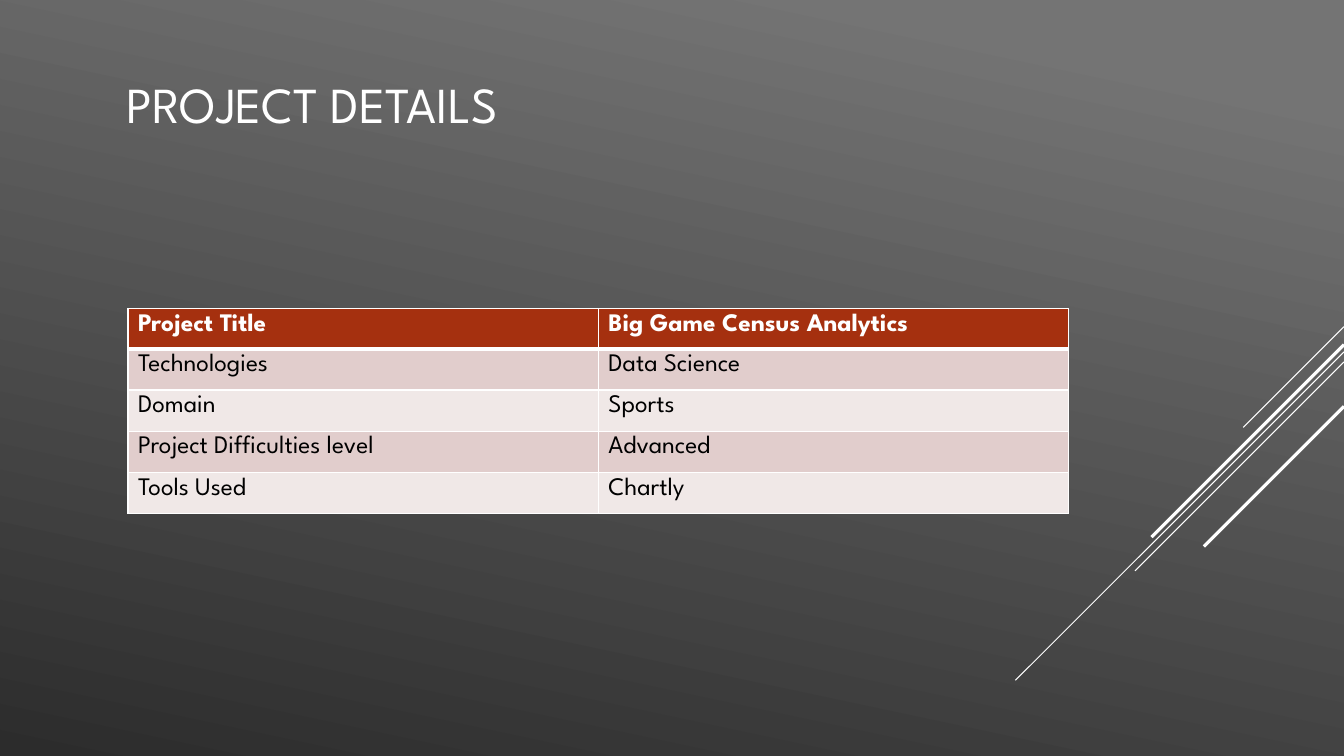
from lxml.etree import SubElement
from pptx import Presentation
from pptx.dml.color import RGBColor
from pptx.enum.shapes import MSO_CONNECTOR
from pptx.enum.text import MSO_ANCHOR
from pptx.oxml.ns import qn
from pptx.util import Inches, Pt

WHITE = RGBColor(0xFF, 0xFF, 0xFF)
BLACK = RGBColor(0x00, 0x00, 0x00)
GREY = RGBColor(0x74, 0x74, 0x74)
CHARCOAL = RGBColor(0x2C, 0x2C, 0x2C)
RUST = RGBColor(0xA5, 0x30, 0x0F)
ROSE = RGBColor(0xE1, 0xCD, 0xCC)
BLUSH = RGBColor(0xF0, 0xE8, 0xE7)

DETAILS = [
    ("Project Title", "Big Game Census Analytics"),
    ("Technologies", "Data Science"),
    ("Domain", "Sports"),
    ("Project Difficulties level", "Advanced"),
    ("Tools Used", "Chartly"),
]
STREAKS = [
    (10.37, 3, 0.75),
    (11.17, 9.78, 0.75),
    (11.49, 6.22, 0.75),
    (10.94, 5.73, 2.25),
    (12.9, 4.17, 2.25),
]


class SlideBuilder:
    font = "League Spartan"
    columns, rows = 40, 24

    def __init__(self, prs):
        self.slide = prs.slides.add_slide(prs.slide_layouts[6])
        self.col = prs.slide_width / self.columns
        self.row = prs.slide_height / self.rows

    def x(self, columns):
        return round(columns * self.col)

    def y(self, rows):
        return round(rows * self.row)

    def background(self, start, end, angle):
        fill = self.slide.background.fill
        fill.gradient()
        fill.gradient_angle = 360 - angle
        for stop, (position, color) in zip(fill.gradient_stops, (start, end)):
            stop.position = position
            stop.color.rgb = color

    def add_text(self, tf, text, size, color, bold=False):
        r = tf.paragraphs[0].add_run()
        r.text = text
        r.font.name = self.font
        r.font.size = Pt(size)
        r.font.bold = bold
        r.font.color.rgb = color

    def title(self, text, left, top, width, height):
        sp = self.slide.shapes.add_textbox(
            self.x(left), self.y(top), self.x(width), self.y(height))
        tf = sp.text_frame
        tf.word_wrap = True
        tf.vertical_anchor = MSO_ANCHOR.MIDDLE
        self.add_text(tf, text, 36, WHITE)

    def streak(self, top, length, weight):
        right, run = self.x(self.columns), self.x(length)
        line = self.slide.shapes.add_connector(
            MSO_CONNECTOR.STRAIGHT, right, self.y(top), right - run, self.y(top) + run)
        line.line.color.rgb = WHITE
        line.line.width = Pt(weight)
        SubElement(line._element.spPr, qn("a:effectLst"))

    def borders(self, cell, top, bottom):
        tc_pr = cell._tc.get_or_add_tcPr()
        for side, weight in (("L", 1), ("R", 1), ("T", top), ("B", bottom)):
            ln = SubElement(tc_pr, qn(f"a:ln{side}"), w=str(Pt(weight)))
            SubElement(SubElement(ln, qn("a:solidFill")), qn("a:srgbClr"), val=str(WHITE))

    def table(self, data, left, top, width, header_height, row_height):
        height = header_height + row_height * (len(data) - 1)
        table = self.slide.shapes.add_table(
            len(data), len(data[0]),
            self.x(left), self.y(top), self.x(width), self.y(height)).table
        for i, texts in enumerate(data):
            header = i == 0
            table.rows[i].height = self.y(header_height if header else row_height)
            color = RUST if header else (ROSE if i % 2 else BLUSH)
            for j, text in enumerate(texts):
                cell = table.cell(i, j)
                self.borders(cell, 3 if i == 1 else 1, 3 if header else 1)
                cell.fill.solid()
                cell.fill.fore_color.rgb = color
                self.add_text(cell.text_frame, text, 18, WHITE if header else BLACK, header)


def main():
    prs = Presentation()
    prs.slide_width, prs.slide_height = Inches(13.33), Inches(7.5)
    s = SlideBuilder(prs)
    s.background((0.1, GREY), (1, CHARCOAL), 102)
    for streak in STREAKS:
        s.streak(*streak)
    s.title("PROJECT DETAILS", 3.48, 0.64, 28, 5.28)
    s.table(DETAILS, 3.81, 9.79, 28, 1.06, 1.31)
    prs.save("out.pptx")


if __name__ == "__main__":
    main()
